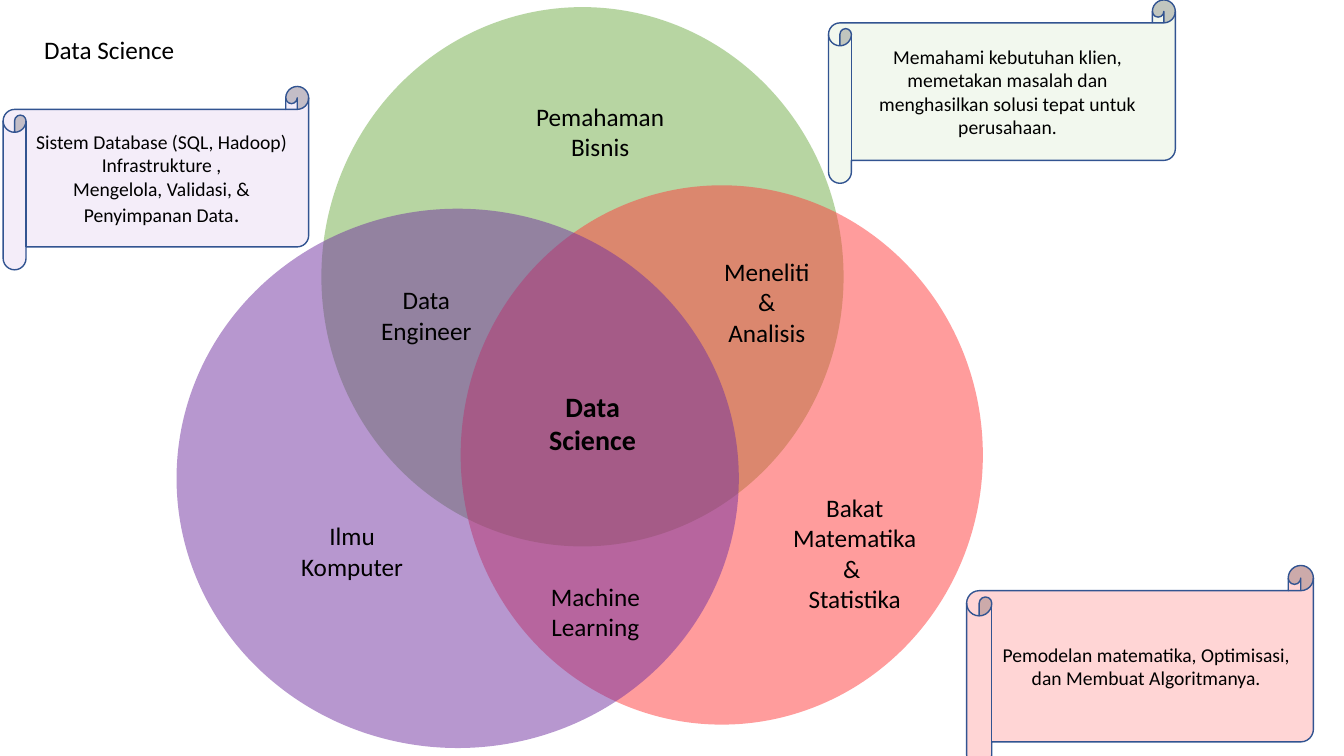
from dataclasses import dataclass
from lxml import etree
from pptx import Presentation
from pptx.dml.color import RGBColor as RGB
from pptx.enum.shapes import MSO_SHAPE as SHAPE
from pptx.enum.text import MSO_ANCHOR as ANCHOR, PP_ALIGN as ALIGN
from pptx.oxml.ns import qn
from pptx.util import Cm, Pt


@dataclass
class Theme:
    font: str = "Calibri"
    text: str = "000000"
    outline: str = "325491"
    business: str = "70AD47"
    maths: str = "FF3B3B"
    computing: str = "7030A0"
    business_note: str = "F2F8EE"
    maths_note: str = "FFD5D5"
    computing_note: str = "F4EDF9"
    core: int = 20
    label: int = 18
    stop: int = 16
    note: int = 14


def add_shape(kind, box, fill=None):
    sp = s.shapes.add_shape(kind, *map(Cm, box))
    sp.shadow.inherit = False
    if fill:
        sp.fill.solid()
        sp.fill.fore_color.rgb = RGB.from_string(fill)
    else:
        sp.fill.background()
    sp.line.fill.background()
    return sp


def write(sp, lines, size, bold=False, align=ALIGN.CENTER, anchor=ANCHOR.MIDDLE):
    tf = sp.text_frame
    tf.word_wrap = True
    tf.vertical_anchor = anchor
    tf.text = "\n".join(lines)
    for p in tf.paragraphs:
        p.alignment = align
        p.line_spacing = 1.0
        p.font.name = th.font
        p.font.size = Pt(size)
        p.font.bold = bold
        p.font.color.rgb = RGB.from_string(th.text)
    return tf


th = Theme()
prs = Presentation()
prs.slide_width, prs.slide_height = Cm(33.87), Cm(19.05)
s = prs.slides.add_slide(prs.slide_layouts[5])

title = s.shapes.title
title.left, title.top, title.width, title.height = map(Cm, (0.86, 0.74, 10.16, 1.02))
write(title, ["Data Science"], th.label, align=ALIGN.LEFT, anchor=ANCHOR.TOP)

circles = [
    (8.1, 0.18, 13.16, th.business),
    (11.61, 4.67, 13.16, th.maths),
    (4.45, 5.26, 14.17, th.computing),
]
for x, y, w, color in circles:
    sp = add_shape(SHAPE.OVAL, (x, y, w, 13.59), color)
    clr = sp.fill._xPr.find(".//" + qn("a:srgbClr"))
    etree.SubElement(clr, qn("a:alpha")).set("val", "50000")

labels = [
    (12.88, 7.95, 4.11, ["Data Science"], th.core, True),
    (18.95, 11.23, 5.18, ["Bakat Matematika & ", "Statistika"], th.label, False),
    (6.55, 11.18, 4.65, ["Ilmu Komputer"], th.label, False),
    (12.37, 0.61, 5.51, ["Pemahaman Bisnis"], th.label, False),
    (8.69, 5.23, 4.11, ["Data Engineer"], th.label, False),
    (17.27, 4.9, 4.11, ["Meneliti & Analisis"], th.label, False),
    (12.95, 12.7, 4.11, ["Machine Learning"], th.label, False),
]
for x, y, w, lines, size, bold in labels:
    write(add_shape(SHAPE.OVAL, (x, y, w, 5.41)), lines, size, bold)

notes = [
    ((20.88, 0, 8.74, 4.62), th.business_note,
     ["Memahami kebutuhan klien, memetakan masalah dan "
      "menghasilkan solusi tepat untuk perusahaan."]),
    ((24.36, 14.25, 8.74, 5.08), th.maths_note,
     ["Pemodelan matematika, Optimisasi, dan Membuat Algoritmanya."]),
    ((0.08, 2.18, 7.7, 4.62), th.computing_note,
     ["Sistem Database (SQL, Hadoop)", "Infrastrukture ,",
      "Mengelola, Validasi, & Penyimpanan Data"]),
]
for box, fill, lines in notes:
    sp = add_shape(SHAPE.HORIZONTAL_SCROLL, box, fill)
    sp.line.color.rgb = RGB.from_string(th.outline)
    sp.line.width = Pt(1)
    tf = write(sp, lines, th.note)

r = tf.paragraphs[-1].add_run()
r.text = "."
r.font.size = Pt(th.stop)

prs.save("out.pptx")
